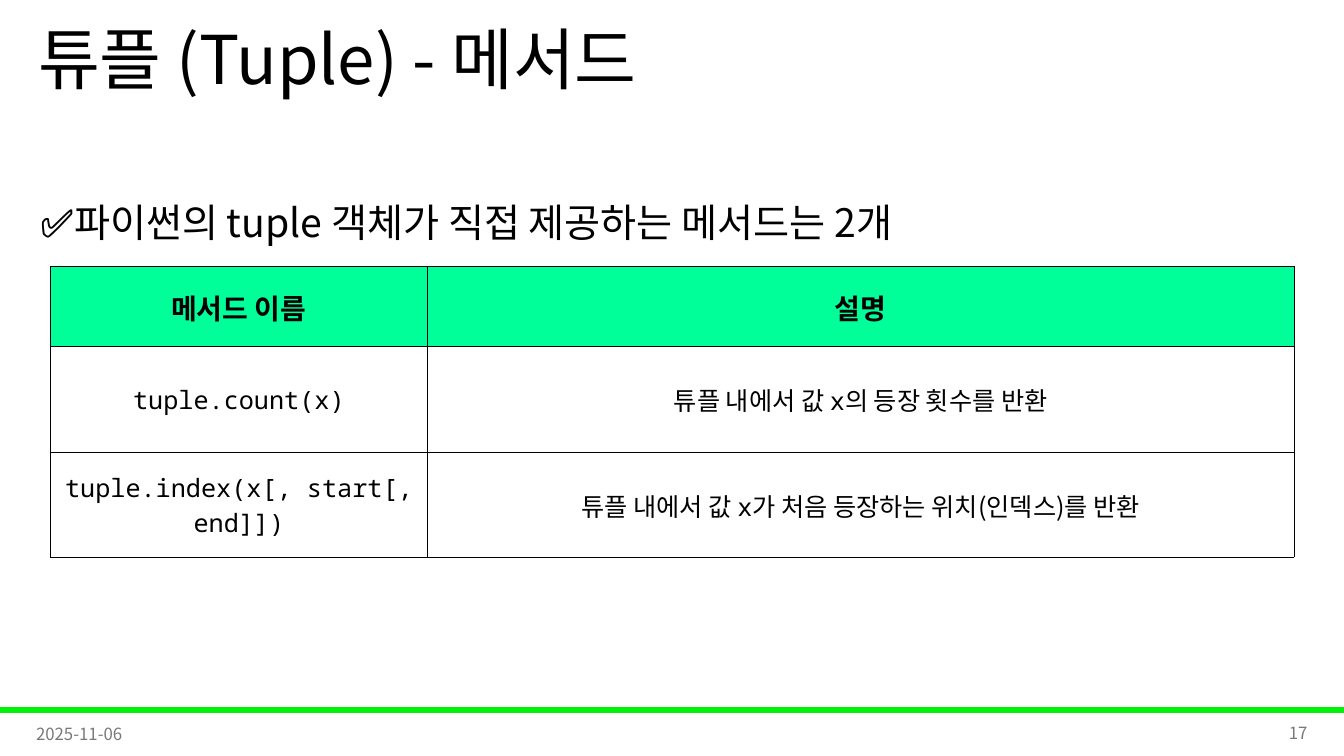
from pptx import Presentation
from pptx.dml.color import RGBColor
from pptx.enum.shapes import MSO_SHAPE
from pptx.enum.text import MSO_ANCHOR, MSO_AUTO_SIZE, PP_ALIGN
from pptx.oxml import parse_xml
from pptx.oxml.ns import nsdecls
from pptx.util import Cm, Pt

MIDDLE, TOP = MSO_ANCHOR.MIDDLE, MSO_ANCHOR.TOP
LEFT, CENTER, RIGHT = PP_ALIGN.LEFT, PP_ALIGN.CENTER, PP_ALIGN.RIGHT
RECTANGLE, NO_AUTOFIT = MSO_SHAPE.RECTANGLE, MSO_AUTO_SIZE.NONE
SANS, MONO = "Noto Sans CJK KR", "Noto Sans Mono"
BLACK, GREY, GREEN, MINT = "000000", "797979", "00F209", "00FF99"

COLUMN_WIDTHS = (9.5, 21.84)
ROW_HEIGHTS = (2.03, 2.65, 2.65)
METHODS = (
    ([("메서드 이름", SANS)], [("설명", SANS)]),
    ([("tuple.count(x)", MONO)],
     [("튜플 내에서 값 ", SANS), ("x", MONO), ("의 등장 횟수를 반환", SANS)]),
    ([("tuple.index(x[, start[, end]])", MONO)],
     [("튜플 내에서 값 ", SANS), ("x", MONO),
      ("가 처음 등장하는 위치(인덱스)를 반환", SANS)]),
)


def rgb(value):
    """Turn a hex string into a colour."""
    return RGBColor.from_string(value)


def set_format(target, values):
    """Set every attribute named in a dict."""
    for name, value in values.items():
        setattr(target, name, value)


def add_run(p, text, size, color=BLACK, font=SANS, bold=False):
    """Add a run with one typeface for Latin and Korean letters."""
    r = p.add_run()
    r.text = text
    set_format(r.font, {"size": Pt(size), "name": font, "bold": bold})
    r.font.color.rgb = rgb(color)
    r.font._element.append(
        parse_xml(f'<a:ea {nsdecls("a")} typeface="{font}"/>'))


def write_line(sp, text, size, color=BLACK, anchor=MIDDLE, align=LEFT, spacing=1.0):
    """Write a single formatted paragraph into a shape."""
    tf = sp.text_frame
    set_format(tf, {"word_wrap": True, "auto_size": NO_AUTOFIT,
                    "vertical_anchor": anchor})
    p = tf.paragraphs[0]
    set_format(p, {"alignment": align, "line_spacing": spacing})
    add_run(p, text, size, color)


def add_title(s, text):
    """Place and format the title placeholder."""
    sp = s.shapes.title
    set_format(sp, {"left": Cm(0.71), "top": Cm(0),
                    "width": Cm(29.21), "height": Cm(3.18)})
    write_line(sp, text, 48, spacing=0.9)


def add_text(s, box, text, size, **style):
    """Add a text box with one line."""
    write_line(s.shapes.add_textbox(*map(Cm, box)), text, size, **style)


def add_bar(s, box, color):
    """Add a solid rectangle."""
    sp = s.shapes.add_shape(RECTANGLE, *map(Cm, box))
    sp.shadow.inherit = False
    sp.fill.solid()
    sp.fill.fore_color.rgb = rgb(color)
    sp.line.color.rgb = rgb(color)
    sp.line.width = Pt(1)


def add_borders(cell, color, width):
    """Draw all four borders of a cell."""
    tc_pr = cell._tc.get_or_add_tcPr()
    for side in "LRTB":
        tc_pr.append(parse_xml(
            f'<a:ln{side} {nsdecls("a")} w="{Pt(width)}"><a:solidFill>'
            f'<a:srgbClr val="{color}"/></a:solidFill></a:ln{side}>'))


def fill_cell(cell, runs, header):
    """Write and format one table cell."""
    set_format(cell, {"vertical_anchor": MIDDLE, "margin_left": Cm(0.03),
                      "margin_right": Cm(0.03), "margin_top": Cm(0.03),
                      "margin_bottom": Cm(0)})
    add_borders(cell, BLACK, 0.5)
    if header:
        cell.fill.solid()
        cell.fill.fore_color.rgb = rgb(MINT)
    else:
        cell.fill.background()
    p = cell.text_frame.paragraphs[0]
    p.alignment = CENTER
    for text, font in runs:
        add_run(p, text, 20 if header else 18, font=font, bold=header)


def add_method_table(s, left, top):
    """Add the table of tuple methods."""
    size = (sum(COLUMN_WIDTHS), sum(ROW_HEIGHTS))
    table = s.shapes.add_table(len(ROW_HEIGHTS), len(COLUMN_WIDTHS),
                               Cm(left), Cm(top), *map(Cm, size)).table
    set_format(table, {"first_row": False, "horz_banding": False})
    for column, width in zip(table.columns, COLUMN_WIDTHS):
        column.width = Cm(width)
    for i, (height, row) in enumerate(zip(ROW_HEIGHTS, METHODS)):
        table.rows[i].height = Cm(height)
        for j, runs in enumerate(row):
            fill_cell(table.cell(i, j), runs, header=i == 0)


def main():
    """Build and save the slide."""
    prs = Presentation()
    set_format(prs, {"slide_width": Cm(33.87), "slide_height": Cm(19.05)})
    s = prs.slides.add_slide(prs.slide_layouts[5])
    add_bar(s, (0, 17.83, 33.87, 0.13), GREEN)
    add_title(s, "튜플 (Tuple) - 메서드")
    add_text(s, (0.66, 17.98, 7.62, 1.02), "2025-11-06", 12, color=GREY)
    add_text(s, (25.58, 17.96, 7.62, 1.02), "17", 12, color=GREY, align=RIGHT)
    add_method_table(s, 1.27, 6.71)
    add_text(s, (0.76, 4.29, 32.51, 2.11),
             "✅파이썬의 tuple 객체가 직접 제공하는 메서드는 2개", 28,
             anchor=TOP, spacing=1.5)
    prs.save("out.pptx")


if __name__ == "__main__":
    main()
